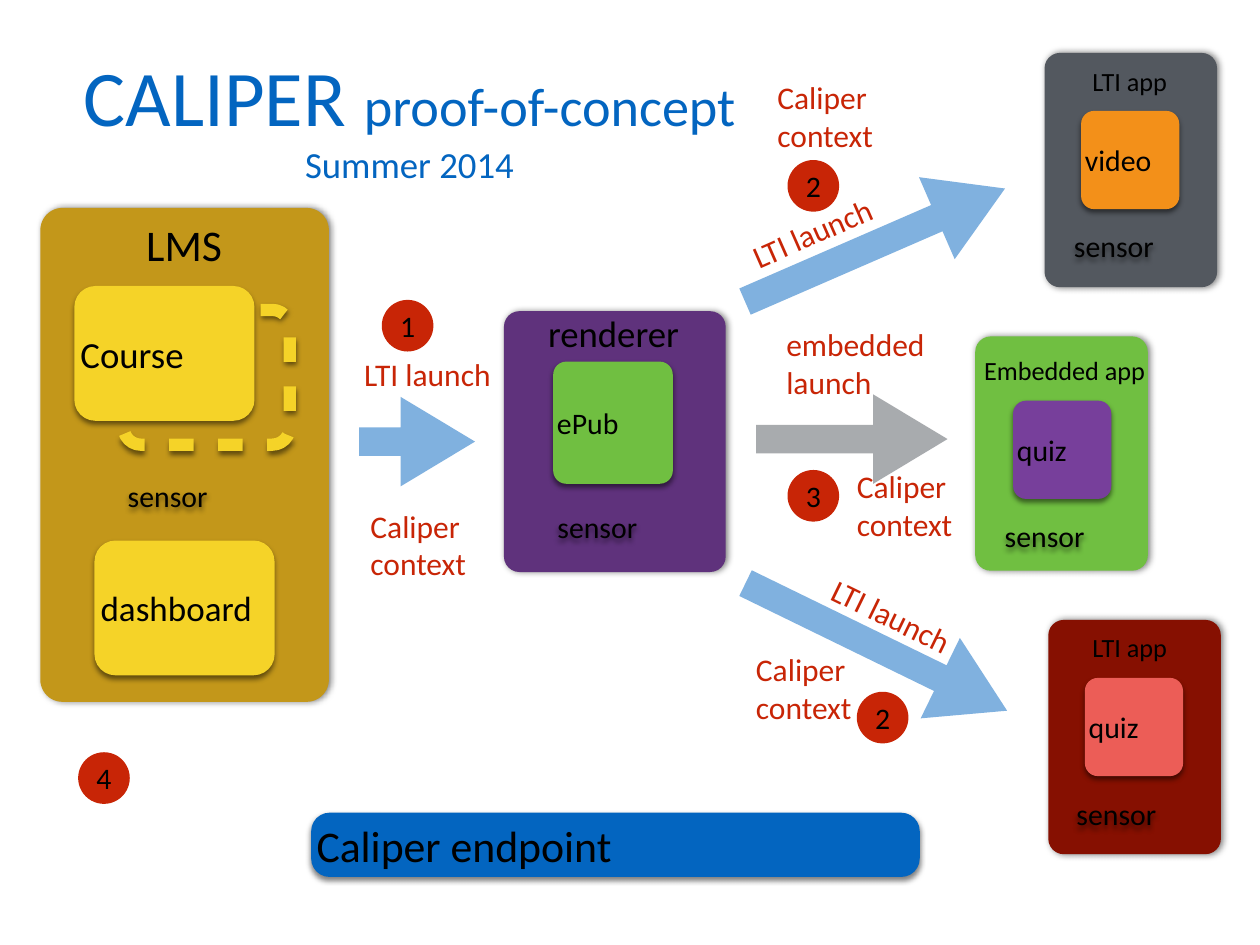
from lxml.etree import SubElement
from pptx import Presentation
from pptx.dml.color import RGBColor
from pptx.enum.shapes import MSO_SHAPE as Preset
from pptx.enum.text import MSO_ANCHOR as Anchor, MSO_AUTO_SIZE as AutoSize, PP_ALIGN as Align
from pptx.oxml.ns import qn
from pptx.util import Inches, Pt

BLUE, RED, BLACK, YELLOW = "0365C0", "C82506", "000000", "F5D328"
GREEN, GRAY = "70BF41", "53585F"
PANEL_SHADOW = (4, 1, 0)  # blur, distance, direction
CARD_SHADOW = (3, 2, 90)

presentation = Presentation()
presentation.slide_width, presentation.slide_height = Inches(10), Inches(7.5)
slide = presentation.slides.add_slide(presentation.slide_layouts[5])


def add_preset(preset, place, fill=None, adjustments=(), shadow=None):
    shape = slide.shapes.add_shape(preset, *map(Inches, place))
    shape.line.fill.background()
    if fill:
        shape.fill.solid()
        shape.fill.fore_color.rgb = RGBColor.from_string(fill)
    else:
        shape.fill.background()
    for index, value in enumerate(adjustments):
        shape.adjustments[index] = value
    shape.shadow.inherit = False
    if shadow:
        blur, distance, direction = shadow
        effects = shape._element.spPr.find(qn("a:effectLst"))
        outer = SubElement(effects, qn("a:outerShdw"), blurRad=str(Pt(blur)), dist=str(Pt(distance)),
                           dir=str(direction * 60000), rotWithShape="0")
        tint = SubElement(outer, qn("a:srgbClr"), val=BLACK)
        SubElement(tint, qn("a:alpha"), val="50000")
    return shape


def write(shape, lines, size, color=BLACK, align=Align.LEFT, inset=0):
    frame = shape.text_frame
    frame.vertical_anchor = Anchor.MIDDLE
    frame.margin_left = frame.margin_right = frame.margin_top = frame.margin_bottom = Inches(inset)
    for index, line in enumerate(lines):
        paragraph = frame.add_paragraph() if index else frame.paragraphs[0]
        paragraph.alignment = align
        run = paragraph.add_run()
        run.text = line
        run.font.name, run.font.size = "Calibri", Pt(size)
        run.font.color.rgb = RGBColor.from_string(color)


# Title
title = slide.shapes.title
title.left, title.top, title.width, title.height = map(Inches, (0.5, 0.3, 5.5, 1.25))
title.text_frame.auto_size = AutoSize.NONE
title.text_frame.vertical_anchor = Anchor.MIDDLE
title_lines = [[("CALIPER ", 45), ("proof-of-concept", 31)], [("Summer 2014", 21)]]
for index, runs in enumerate(title_lines):
    paragraph = title.text_frame.add_paragraph() if index else title.text_frame.paragraphs[0]
    paragraph.alignment = Align.CENTER
    for text, size in runs:
        run = paragraph.add_run()
        run.text = text
        run.font.name, run.font.size = "Calibri", Pt(size)
        run.font.color.rgb = RGBColor.from_string(BLUE)

# Half-transparent arrows: place, rotation, colour
arrows = [
    ((6, 3.13, 1.52, 0.71), 0, GRAY),
    ((2.85, 3.15, 0.92, 0.71), 0, BLUE),
    ((5.82, 1.59, 2.25, 0.71), -23.5, BLUE),
    ((5.8, 4.78, 2.31, 0.71), 26, BLUE),
]
for place, rotation, color in arrows:
    arrow = add_preset(Preset.RIGHT_ARROW, place, color, (0.32, 0.831))
    arrow.rotation = rotation
    tint = arrow._element.spPr.find(qn("a:solidFill")).find(qn("a:srgbClr"))
    SubElement(tint, qn("a:alpha"), val="50000")

# System panels: place, colour, corner
panels = [
    ((0.32, 1.65, 2.29, 3.92), "C3971A", 0.077),
    ((4, 2.47, 1.76, 2.07), "5F327C", 0.07),
    ((7.74, 2.67, 1.37, 1.86), GREEN, 0.09),
    ((8.32, 4.92, 1.37, 1.86), "861001", 0.09),
    ((8.29, 0.42, 1.37, 1.86), GRAY, 0.09),
]
for place, color, corner in panels:
    add_preset(Preset.ROUNDED_RECTANGLE, place, color, (corner,), PANEL_SHADOW)

# Dashed outline of a second course
outline = add_preset(Preset.ROUNDED_RECTANGLE, (0.98, 2.46, 1.32, 1.07), None, (0.13,), CARD_SHADOW)
outline.line.color.rgb = RGBColor.from_string(YELLOW)
outline.line.width = Pt(7)
dashes = SubElement(outline.line._get_or_add_ln(), qn("a:custDash"))
SubElement(dashes, qn("a:ds"), d="200000", sp="200000")

# Content cards and sensors: text, size, place, colour, corner
cards = [
    ("Course", 21, (0.59, 2.27, 1.43, 1.07), YELLOW, 0.156),
    ("dashboard", 20, (0.75, 4.29, 1.43, 1.07), YELLOW, 0.156),
    ("ePub", 17, (4.39, 2.87, 0.95, 0.97), GREEN, 0.11),
    ("quiz", 17, (8.04, 3.18, 0.78, 0.78), "773F9B", 0.133),
    ("quiz", 17, (8.61, 5.38, 0.78, 0.78), "EC5D57", 0.133),
    ("video", 17, (8.58, 0.88, 0.78, 0.78), "F39019", 0.133),
    ("Caliper endpoint", 25, (2.47, 6.45, 4.83, 0.51), BLUE, 0.287),
]
sensors = [(0.98, 3.72), (4.39, 3.97), (7.94, 4.04), (8.51, 6.25), (8.49, 1.74)]
cards += [("sensor", 17, (left, top, 0.98, 0.42), None, 0.272) for left, top in sensors]
for text, size, place, color, corner in cards:
    card = add_preset(Preset.ROUNDED_RECTANGLE, place, color, (corner,), CARD_SHADOW)
    write(card, [text], size)

# Panel names and arrow labels: lines, size, colour, place, rotation
labels = [
    (["LMS"], 25, BLACK, (1.12, 1.69, 0.69, 0.5), 0),
    (["renderer"], 21, BLACK, (4.31, 2.43, 1.14, 0.43), 0),
    (["Embedded app"], 15, BLACK, (7.77, 2.77, 1.37, 0.33), 0),
    (["LTI app"], 15, BLACK, (8.63, 4.97, 0.69, 0.33), 0),
    (["LTI app"], 15, BLACK, (8.63, 0.48, 0.69, 0.33), 0),
    (["LTI launch"], 18, RED, (2.85, 2.78, 1.11, 0.38), 0),
    (["LTI launch"], 18, RED, (5.9, 1.65, 1.11, 0.38), -23.7),
    (["LTI launch"], 18, RED, (6.53, 4.7, 1.11, 0.38), 26),
    (["embedded", "launch"], 18, RED, (6.2, 2.54, 1.19, 0.68), 0),
]
contexts = [(2.9, 3.98), (6.13, 0.58), (6.76, 3.67), (5.96, 5.12)]
labels += [(["Caliper", "context"], 18, RED, (left, top, 0.86, 0.68), 0) for left, top in contexts]
for lines, size, color, place, rotation in labels:
    label = slide.shapes.add_textbox(*map(Inches, place))
    label.rotation = rotation
    label.text_frame.word_wrap = False
    label.text_frame.auto_size = AutoSize.SHAPE_TO_FIT_TEXT
    write(label, lines, size, color, inset=0.04)

# Numbered steps
steps = [("1", 3.03, 2.38), ("2", 6.25, 1.27), ("2", 6.8, 5.49), ("3", 6.25, 3.73), ("4", 0.62, 5.97)]
for number, left, top in steps:
    step = add_preset(Preset.OVAL, (left, top, 0.41, 0.41), RED)
    write(step, [number], 17, align=Align.CENTER)

presentation.save("out.pptx")
